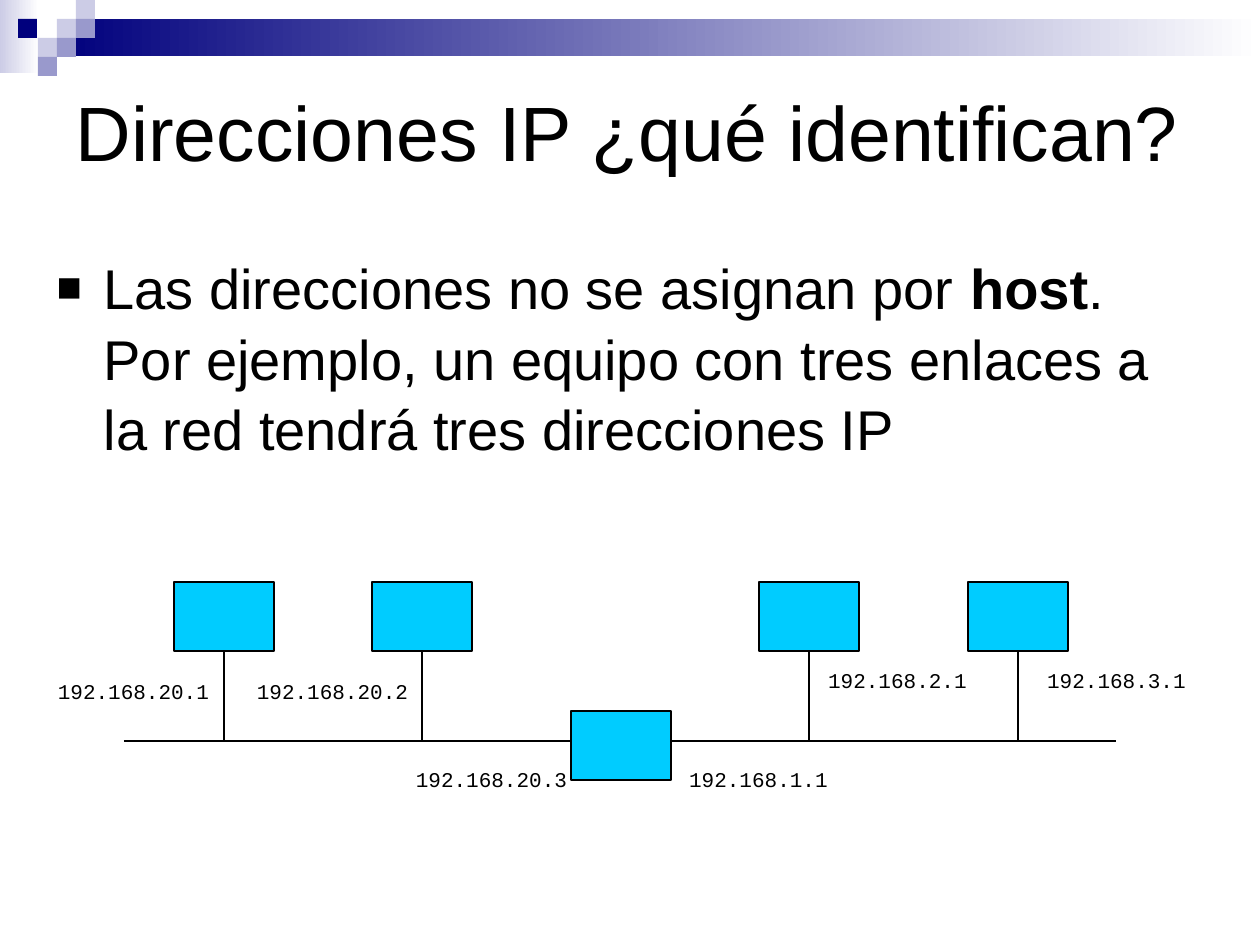
from lxml.etree import SubElement
from pptx import Presentation
from pptx.dml.color import RGBColor
from pptx.enum.shapes import MSO_CONNECTOR as CONN, MSO_SHAPE as SHAPE
from pptx.enum.text import MSO_ANCHOR as ANCHOR, MSO_AUTO_SIZE as AUTO, PP_ALIGN as ALIGN
from pptx.oxml.ns import qn
from pptx.util import Pt

PX = 914400 / 126
COLORS = {"black": "000000", "white": "FFFFFF", "navy": "00007D",
          "lilac": "9999CC", "pale": "CCCCE6", "host": "00CCFF"}

TITLE = "Direcciones IP ¿qué identifican?"
BODY = [("Las direcciones no se asignan por ", False), ("host", True),
        (". Por ejemplo, un equipo con tres enlaces a la red tendrá tres direcciones IP", False)]

# left, top, width, height, colour fading to white
BANDS = [(0, 0, 39, 73, "pale"), (57, 19, 1203, 37, "navy")]
TILE = 19
TILES = [(57, 19, "pale"), (76, 0, "pale"), (76, 19, "lilac"), (38, 38, "pale"),
         (18, 19, "navy"), (57, 38, "lilac"), (38, 57, "lilac")]

HOST_W, HOST_H = 100, 69
HOST_TOP, ROUTER_TOP, BUS_Y = 582, 711, 741
HOSTS = [174, 372, 759, 968]
ROUTER = 571
BUSES = [(124, ROUTER), (ROUTER + HOST_W, 1116)]
LABELS = [("192.168.20.1", 44, 672), ("192.168.20.2", 243, 672),
          ("192.168.20.3", 402, 760), ("192.168.1.1", 669, 760),
          ("192.168.2.1", 808, 661), ("192.168.3.1", 1027, 661)]


def px(*values):
    return [round(v * PX) for v in values]


def rgb(name):
    return RGBColor.from_string(COLORS[name])


def add_rect(s, x, y, w, h, color, outlined=False):
    sp = s.shapes.add_shape(SHAPE.RECTANGLE, *px(x, y, w, h))
    sp.shadow.inherit = False
    sp.fill.solid()
    sp.fill.fore_color.rgb = rgb(color)
    if outlined:
        sp.line.color.rgb = rgb("black")
        sp.line.width = Pt(1)
    else:
        sp.line.fill.background()
    return sp


def add_band(s, x, y, w, h, color):
    fill = add_rect(s, x, y, w, h, color).fill
    fill.gradient()
    fill.gradient_angle = 0
    for stop, name in zip(fill.gradient_stops, (color, "white")):
        stop.color.rgb = rgb(name)


def add_line(s, x1, y1, x2, y2):
    line = s.shapes.add_connector(CONN.STRAIGHT, *px(x1, y1, x2, y2))
    line.line.color.rgb = rgb("black")
    line.line.width = Pt(1)
    SubElement(line._element.spPr, qn("a:effectLst"))
    return line


def add_run(p, text, size, font="Arial", bold=False):
    r = p.add_run()
    r.text = text
    r.font.name, r.font.size, r.font.bold = font, Pt(size), bold
    r.font.color.rgb = rgb("black")


def place(sp, x, y, w, h):
    sp.left, sp.top, sp.width, sp.height = px(x, y, w, h)
    sp.text_frame.auto_size = AUTO.NONE
    return sp.text_frame


def add_square_bullet(p):
    pPr = p._p.get_or_add_pPr()
    indent = px(47)[0]
    pPr.set("marL", str(indent))
    pPr.set("indent", str(-indent))
    color = SubElement(pPr, qn("a:buClr"))
    SubElement(color, qn("a:srgbClr"), val=COLORS["black"])
    SubElement(pPr, qn("a:buSzPct"), val="75000")
    SubElement(pPr, qn("a:buFont"), typeface="Arial")
    SubElement(pPr, qn("a:buChar"), char="■")


def add_header(s):
    for band in BANDS:
        add_band(s, *band)
    for x, y, color in TILES:
        add_rect(s, x, y, TILE, TILE, color)


def add_text(s):
    tf = place(s.shapes.title, 63, 58, 1134, 146)
    tf.vertical_anchor = ANCHOR.MIDDLE
    p = tf.paragraphs[0]
    p.alignment = ALIGN.LEFT
    add_run(p, TITLE, 44)

    p = place(s.placeholders[1], 44, 244, 1134, 646).paragraphs[0]
    add_square_bullet(p)
    p.space_before = Pt(0)
    p.line_spacing = 1.05
    for text, bold in BODY:
        add_run(p, text, 32, bold=bold)


def add_network(s):
    for x1, x2 in BUSES:
        add_line(s, x1, BUS_Y, x2, BUS_Y)
    add_rect(s, ROUTER, ROUTER_TOP, HOST_W, HOST_H, "host", outlined=True)
    for x in HOSTS:
        host = add_rect(s, x, HOST_TOP, HOST_W, HOST_H, "host", outlined=True)
        mid = x + HOST_W / 2
        add_line(s, mid, HOST_TOP + HOST_H, mid, BUS_Y).begin_connect(host, 2)
    for text, x, y in LABELS:
        tf = s.shapes.add_textbox(*px(x, y, 179, 38)).text_frame
        tf.word_wrap = True
        p = tf.paragraphs[0]
        p.alignment = ALIGN.CENTER
        add_run(p, text, 12, "Courier New")


def main():
    prs = Presentation()
    prs.slide_width, prs.slide_height = px(1260, 945)
    s = prs.slides.add_slide(prs.slide_layouts[1])
    add_header(s)
    add_text(s)
    add_network(s)
    prs.save("out.pptx")


if __name__ == "__main__":
    main()
